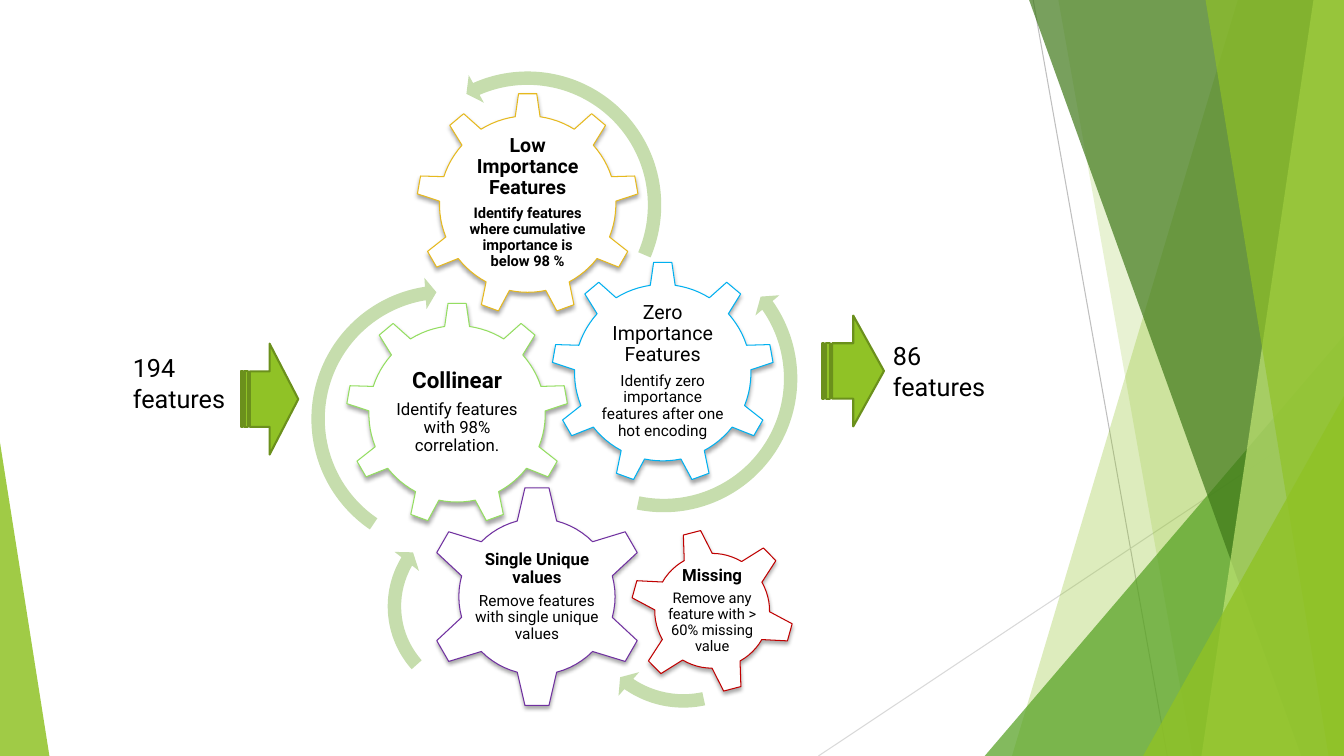
import math

import pptx
import pptx.dml.color
import pptx.enum.shapes
import pptx.enum.text
import pptx.oxml.ns
import pptx.util
from lxml import etree

Pt = pptx.util.Pt
RGBColor = pptx.dml.color.RGBColor
SHAPE = pptx.enum.shapes.MSO_SHAPE
CENTER = pptx.enum.text.PP_ALIGN.CENTER
ANCHOR = pptx.enum.text.MSO_ANCHOR
qn = pptx.oxml.ns.qn

BLACK = RGBColor(0x00, 0x00, 0x00)
WHITE = RGBColor(0xFF, 0xFF, 0xFF)
GRAY = RGBColor(0xBF, 0xBF, 0xBF)
LIGHT_GRAY = RGBColor(0xD9, 0xD9, 0xD9)
GREEN = RGBColor(0x90, 0xC2, 0x26)
MID_GREEN = RGBColor(0x54, 0xA0, 0x21)
DARK_GREEN = RGBColor(0x3F, 0x78, 0x19)
LIME = RGBColor(0xC0, 0xE4, 0x74)
OLIVE = RGBColor(0x6B, 0x90, 0x1C)
PALE_GREEN = RGBColor(0xC6, 0xDD, 0xAD)
BLUE = RGBColor(0x00, 0xB0, 0xF0)
PURPLE = RGBColor(0x70, 0x30, 0xA0)
RED = RGBColor(0xC0, 0x00, 0x00)
LIGHT_GREEN = RGBColor(0x94, 0xDE, 0x61)
GOLD = RGBColor(0xE6, 0xB9, 0x1E)

WIDTH, HEIGHT = 960, 540


class Painter:
    """Holds the style and the current slide."""
    font = "Roboto"

    def __init__(self, page):
        self.page = page
        self.shapes = page.shapes

    def paint(self, shape, fill, alpha=100, line=None, weight=0.75):
        shape.shadow.inherit = False
        shape.fill.solid()
        shape.fill.fore_color.rgb = fill
        if alpha < 100:
            color = shape._element.spPr.find(qn("a:solidFill")).find(qn("a:srgbClr"))
            etree.SubElement(color, qn("a:alpha"), val=str(alpha * 1000))
        if line is None:
            shape.line.fill.background()
        else:
            shape.line.color.rgb = line
            shape.line.width = Pt(weight)
        return shape

    def line(self, start, end, color):
        ends = [Pt(value) for value in (*start, *end)]
        rule = self.shapes.add_connector(pptx.enum.shapes.MSO_CONNECTOR.STRAIGHT, *ends)
        rule.line.color.rgb = color
        rule.line.width = Pt(0.75)
        etree.SubElement(rule._element.spPr, qn("a:effectLst"))

    def outline(self, points, fill, **style):
        corners = [(Pt(x), Pt(y)) for x, y in points]
        builder = self.shapes.build_freeform(*corners[0])
        builder.add_line_segments(corners[1:], close=True)
        return self.paint(builder.convert_to_shape(), fill, **style)

    def preset(self, kind, frame, fill, adjust=(), rotation=0, flips="", **style):
        shape = self.shapes.add_shape(kind, *[Pt(value) for value in frame])
        for index, value in enumerate(adjust):
            shape.adjustments[index] = value
        shape.rotation = rotation
        for axis in flips:
            shape._element.spPr.xfrm.set("flip" + axis, "1")
        return self.paint(shape, fill, **style)

    def fill_text(self, frame, lines, **paragraph_format):
        frame.word_wrap = True
        for index, (text, size, bold) in enumerate(lines):
            para = frame.add_paragraph() if index else frame.paragraphs[0]
            for name, value in paragraph_format.items():
                setattr(para, name, value)
            span = para.add_run()
            span.text = text
            for name, value in dict(name=self.font, size=Pt(size), bold=bold).items():
                setattr(span.font, name, value)
            span.font.color.rgb = BLACK

    def label(self, frame, lines):
        box = self.shapes.add_textbox(*[Pt(value) for value in frame])
        self.fill_text(box.text_frame, [(text, 18, False) for text in lines])

    def gear(self, center, form, color, lines):
        teeth, tip, root, tip_half, root_half, turn, text_size = form
        step = 360 / teeth
        valley = step - 2 * root_half
        # One tooth, followed by the rounded valley up to the next tooth
        profile = [(root, -root_half), (tip, -tip_half), (tip, tip_half)]
        profile += [(root, root_half + valley * part / 6) for part in range(6)]
        points = []
        for tooth in range(teeth):
            for radius, offset in profile:
                angle = math.radians(tooth * step + turn + offset)
                points.append((center[0] + radius * math.sin(angle),
                               center[1] - radius * math.cos(angle)))
        shape = self.outline(points, WHITE, line=color)
        self.drop_shadow(shape)
        side = int((shape.width - Pt(text_size[0])) / 2)
        top = int((shape.height - Pt(text_size[1])) / 2)
        layout = dict(margin_left=side, margin_right=side, margin_top=top,
                      margin_bottom=top, vertical_anchor=ANCHOR.MIDDLE)
        for name, value in layout.items():
            setattr(shape.text_frame, name, value)
        self.fill_text(shape.text_frame, lines, alignment=CENTER, line_spacing=0.9,
                       space_after=Pt(0.35 * lines[0][1]))

    def drop_shadow(self, shape):
        effects = shape._element.spPr.find(qn("a:effectLst"))
        shadow = etree.SubElement(effects, qn("a:outerShdw"), blurRad=str(Pt(3)),
                                  dist=str(Pt(2)), dir="5400000", rotWithShape="0")
        color = etree.SubElement(shadow, qn("a:srgbClr"), val=str(BLACK))
        etree.SubElement(color, qn("a:alpha"), val="35000")


def draw_background(painter):
    def band(top, bottom, fill, alpha):
        painter.outline([(top, 0), (WIDTH, 0), (WIDTH, HEIGHT), (bottom, HEIGHT)],
                        fill, alpha=alpha)

    def wedge(left, top, width, apex, fill, alpha):
        painter.preset(SHAPE.ISOSCELES_TRIANGLE, (left, top, width, HEIGHT - top),
                       fill, adjust=[apex], alpha=alpha)

    painter.line((738, 0), (833.8, HEIGHT), GRAY)
    painter.line((WIDTH, 290.2), (584.6, HEIGHT), LIGHT_GRAY)
    band(884.2, 722.9, GREEN, 30)
    band(756, 851.8, GREEN, 20)
    wedge(703.4, 239.8, 256.6, 1, MID_GREEN, 72)
    band(735.1, 929.5, DARK_GREEN, 70)
    band(938.2, 858.2, LIME, 70)
    band(861.1, 949, GREEN, 65)
    wedge(816.5, 283, 143.5, 1, GREEN, 80)
    wedge(0, 316.1, 35.3, 0, GREEN, 85)


def draw_gears(painter):
    # Teeth, tip and root radius, half angles of tip and root, turn, text area
    nine = (9, 79.1, 63, 4.7, 8.1, 0, (92.9, 78.5))
    six = (6, 78.2, 55.8, 6.3, 14.6, 0, (98.6, 98))
    small = (6, 57.9, 41, 6.3, 14.6, -14.5, (70, 62))
    long_arc = (0.047, 2.99, 25.025, 158.911, 0.055)

    def swirl(left, top, size, adjust, rotation, flips="", kind=SHAPE.CIRCULAR_ARROW):
        painter.preset(kind, (left, top, size, size), PALE_GREEN, adjust, rotation, flips)

    painter.gear((473.4, 266.2), nine, BLUE, [
        ("Zero Importance Features", 14, False),
        ("Identify zero importance features after one hot encoding", 11, False)])
    painter.gear((383.6, 426.2), six, PURPLE, [
        ("Single Unique values", 12, True),
        ("Remove features with single unique values", 11, False)])
    painter.gear((508.7, 436.3), small, RED, [
        ("Missing", 12, True),
        ("Remove any feature with > 60% missing value", 10.5, False)])
    swirl(372.2, 168.5, 203.8, long_arc, 186.5, "H")
    swirl(270.7, 359.3, 147.6, (0.065, 4.3, 104.891, 148.378, 0.075), 25.6, "V",
          SHAPE.LEFT_CIRCULAR_ARROW)
    swirl(408.2, 352.1, 159.8, (0.06, 3.941, 133.138, 105.082, 0.07), 82.6, "HV")
    painter.gear((326.5, 295.6), nine, LIGHT_GREEN, [
        ("Collinear", 16, True),
        ("Identify features with 98% correlation.", 12, False)])
    swirl(216, 197.3, 203.8, long_arc, 219.4)
    swirl(275, 44.6, 203.8, long_arc, 107.9, "H")
    painter.gear((376.9, 145.8), nine, GOLD, [
        ("Low Importance Features", 14, True),
        ("Identify features where cumulative importance is below 98 %", 10.5, True)])


def draw_flow(painter):
    def arrow(left, top, width):
        painter.preset(SHAPE.STRIPED_RIGHT_ARROW, (left, top, width, 79.2), GREEN,
                       line=OLIVE, weight=1.5)

    arrow(172.1, 245.5, 41)
    painter.label((87.8, 248.4, 109.4, 51.1), ["194 features"])
    arrow(587.5, 225.4, 43.9)
    painter.label((630.7, 239.8, 109.4, 51.1), ["86", "features"])


def main():
    deck = pptx.Presentation()
    deck.slide_width, deck.slide_height = Pt(WIDTH), Pt(HEIGHT)
    painter = Painter(deck.slides.add_slide(deck.slide_layouts[6]))
    draw_background(painter)
    draw_gears(painter)
    draw_flow(painter)
    deck.save("out.pptx")


if __name__ == "__main__":
    main()
